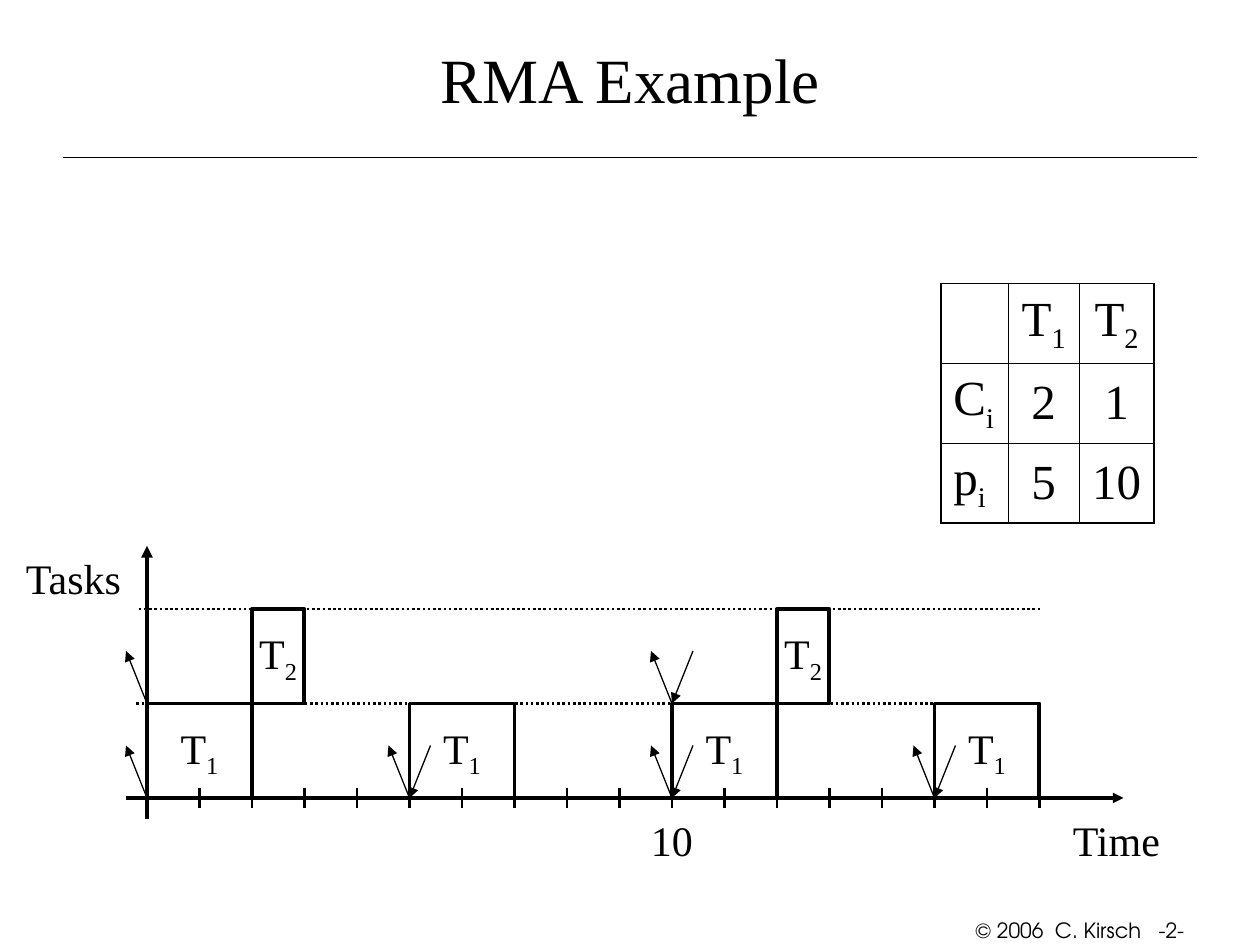
from dataclasses import dataclass
from typing import Optional

from lxml.etree import SubElement
from pptx import Presentation
from pptx.dml.color import RGBColor
from pptx.enum.dml import MSO_LINE
from pptx.enum.shapes import MSO_CONNECTOR, MSO_SHAPE
from pptx.enum.text import MSO_ANCHOR, MSO_AUTO_SIZE, PP_ALIGN
from pptx.oxml import parse_xml
from pptx.oxml.ns import nsdecls, qn
from pptx.util import Emu, Pt

PX = 7620  # 120 px to the inch
COLORS = {"ink": "000000"}
SERIF, SANS = "Times New Roman", "TeX Gyre Adventor"

# Schedule grid
ORIGIN_X, AXIS_Y = 140, 760
UNIT, LANE = 50, 90
LAST_TIME = 17
SCHEDULE_END = ORIGIN_X + LAST_TIME * UNIT


@dataclass(frozen=True)
class Line:
    x1: int
    y1: int
    x2: int
    y2: int
    width: float = 0.75
    arrow: Optional[str] = None
    dash: Optional[MSO_LINE] = None


@dataclass(frozen=True)
class Label:
    text: str
    left: int
    top: int
    width: int
    height: int
    size: int = 24
    font: str = SERIF
    align: PP_ALIGN = PP_ALIGN.LEFT
    anchor: MSO_ANCHOR = MSO_ANCHOR.TOP
    wrap: bool = False


@dataclass(frozen=True)
class Job:
    task: int
    start: int
    duration: int


def px(value: int) -> Emu:
    return Emu(value * PX)


def ink() -> RGBColor:
    return RGBColor.from_string(COLORS["ink"])


def write(paragraph, text: str, size: int, font: str, align: PP_ALIGN) -> None:
    """Write text; whatever follows an underscore is a subscript."""
    base, _, subscript = text.partition("_")
    paragraph.text = base
    paragraph.alignment = align
    if subscript:
        run = paragraph.add_run()
        run.text = subscript
        run._r.get_or_add_rPr().set("baseline", "-25000")
    for run in paragraph.runs:
        run.font.size = Pt(size)
        run.font.name = font
        run.font.color.rgb = ink()


def draw_line(slide, line: Line) -> None:
    ends = [px(value) for value in (line.x1, line.y1, line.x2, line.y2)]
    connector = slide.shapes.add_connector(MSO_CONNECTOR.STRAIGHT, *ends)
    connector.line.color.rgb = ink()
    connector.line.width = Pt(line.width)
    if line.dash:
        connector.line.dash_style = line.dash
    if line.arrow:
        SubElement(connector.line._get_or_add_ln(), qn(f"a:{line.arrow}"), type="triangle")
    SubElement(connector._element.spPr, qn("a:effectLst"))


def draw_label(slide, label: Label) -> None:
    box = slide.shapes.add_textbox(
        px(label.left), px(label.top), px(label.width), px(label.height))
    frame = box.text_frame
    frame.word_wrap = label.wrap
    frame.auto_size = MSO_AUTO_SIZE.NONE if label.wrap else MSO_AUTO_SIZE.SHAPE_TO_FIT_TEXT
    frame.vertical_anchor = label.anchor
    write(frame.paragraphs[0], label.text, label.size, label.font, label.align)


def draw_job(slide, job: Job) -> None:
    shape = slide.shapes.add_shape(
        MSO_SHAPE.RECTANGLE, px(ORIGIN_X + job.start * UNIT), px(AXIS_Y - job.task * LANE),
        px(job.duration * UNIT), px(LANE))
    shape.shadow.inherit = False
    shape.fill.background()
    shape.line.color.rgb = ink()
    shape.line.width = Pt(2.25)
    frame = shape.text_frame
    frame.word_wrap = False
    frame.vertical_anchor = MSO_ANCHOR.MIDDLE
    write(frame.paragraphs[0], f"T_{job.task}", 24, SERIF, PP_ALIGN.CENTER)


def draw_period_mark(slide, task: int, time: int, is_deadline: bool) -> None:
    """Release arrows leave the lane to the left, deadline arrows enter from the right."""
    x, y = ORIGIN_X + time * UNIT, AXIS_Y - (task - 1) * LANE
    offset, arrow = (20, "tailEnd") if is_deadline else (-20, "headEnd")
    draw_line(slide, Line(x + offset, y - 50, x, y, arrow=arrow))


def set_borders(cell, outer: dict[str, bool]) -> None:
    properties = cell._tc.get_or_add_tcPr()
    for index, (side, is_outer) in enumerate(outer.items()):
        width = Pt(1.08 if is_outer else 0.45)
        properties.insert(index, parse_xml(
            f'<a:ln{side} {nsdecls("a")} w="{width}"><a:solidFill>'
            f'<a:srgbClr val="{COLORS["ink"]}"/></a:solidFill></a:ln{side}>'))


def draw_task_table(slide) -> None:
    rows = [["", "T_1", "T_2"], ["C_i", "2", "1"], ["p_i", "5", "10"]]
    widths, height = [64, 68, 71], 76
    table = slide.shapes.add_table(
        3, 3, px(896), px(270), px(sum(widths)), px(3 * height)).table
    table.first_row = table.horz_banding = False
    for column, width in zip(table.columns, widths):
        column.width = px(width)
    for r, texts in enumerate(rows):
        table.rows[r].height = px(height)
        for c, text in enumerate(texts):
            cell = table.cell(r, c)
            cell.vertical_anchor = MSO_ANCHOR.MIDDLE
            cell.fill.background()
            align = PP_ALIGN.CENTER if c else PP_ALIGN.LEFT
            write(cell.text_frame.paragraphs[0], text, 28, SERIF, align)
            set_borders(cell, {"L": c == 0, "R": c == 2, "T": r == 0, "B": r == 2})


def main() -> None:
    presentation = Presentation()
    presentation.slide_width, presentation.slide_height = px(1200), px(900)
    slide = presentation.slides.add_slide(presentation.slide_layouts[6])

    # Title, rule and footer
    draw_label(slide, Label("RMA Example", 90, 0, 1020, 150, 36, align=PP_ALIGN.CENTER,
                            anchor=MSO_ANCHOR.MIDDLE, wrap=True))
    draw_line(slide, Line(60, 150, 1140, 150))
    draw_label(slide, Label("© 2006  C. Kirsch   -2-", 890, 868, 250, 30, 12, SANS,
                            PP_ALIGN.RIGHT, wrap=True))

    # Task parameters
    draw_task_table(slide)

    # Axes, ticks and lane lines
    draw_line(slide, Line(120, AXIS_Y, 1070, AXIS_Y, 2, "tailEnd"))
    draw_line(slide, Line(ORIGIN_X, 780, ORIGIN_X, 520, 2.25, "tailEnd"))
    for time in range(1, LAST_TIME + 1):
        x = ORIGIN_X + time * UNIT
        draw_line(slide, Line(x, AXIS_Y - 10, x, AXIS_Y + 10, 1.5))
    for task, left in ((1, 130), (2, 132)):
        y = AXIS_Y - task * LANE
        draw_line(slide, Line(left, y, SCHEDULE_END, y, 1.5, dash=MSO_LINE.ROUND_DOT))

    # Axis labels
    for label in (Label("Time", 1010, 770, 108, 60), Label("Tasks", 13, 520, 118, 60),
                  Label("10", 608, 770, 64, 60)):
        draw_label(slide, label)

    # Executed jobs
    for job in (Job(1, 0, 2), Job(2, 2, 1), Job(1, 5, 2),
                Job(1, 10, 2), Job(2, 12, 1), Job(1, 15, 2)):
        draw_job(slide, job)

    # Releases and deadlines of each period
    for task, period in ((1, 5), (2, 10)):
        for time in range(0, LAST_TIME, period):
            draw_period_mark(slide, task, time, is_deadline=False)
            if time:
                draw_period_mark(slide, task, time, is_deadline=True)

    presentation.save("out.pptx")


if __name__ == "__main__":
    main()
